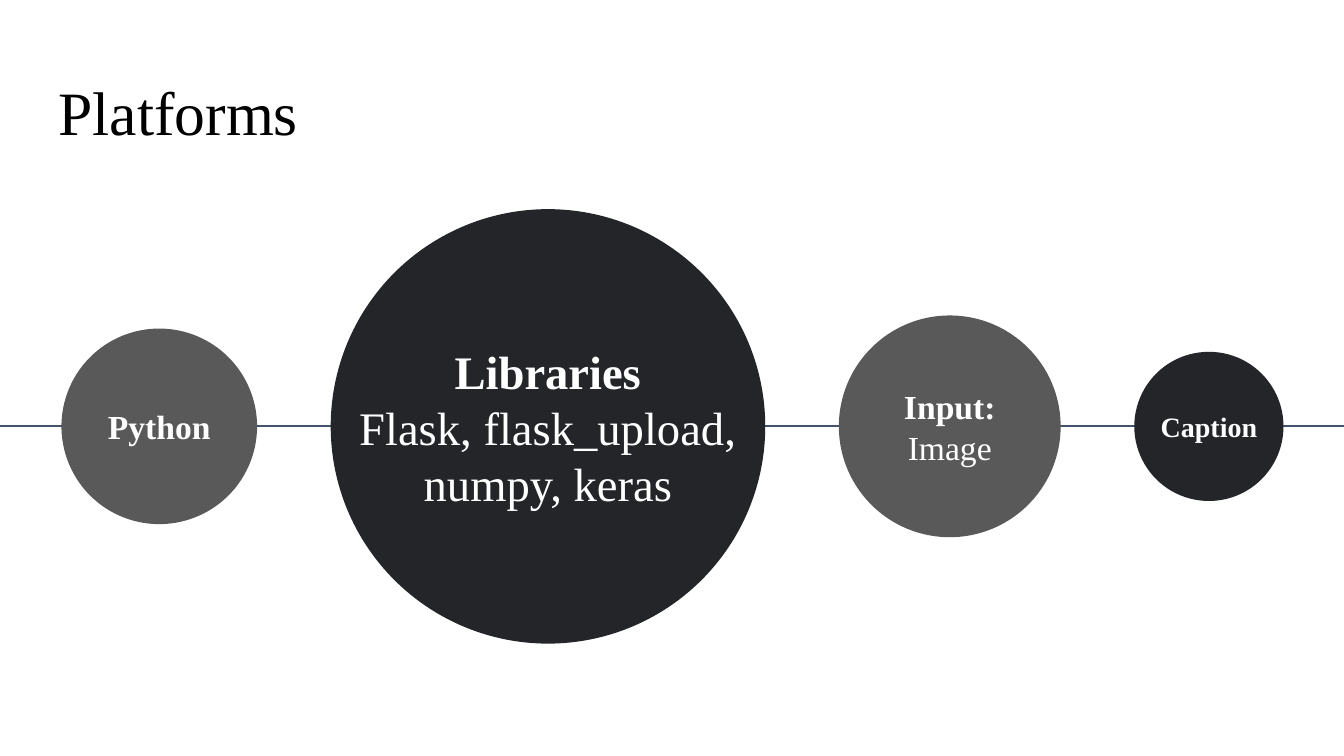
from dataclasses import dataclass

from lxml.etree import SubElement
from pptx import Presentation
from pptx.dml.color import RGBColor
from pptx.enum.shapes import MSO_CONNECTOR, MSO_SHAPE
from pptx.enum.text import MSO_ANCHOR, MSO_AUTO_SIZE, PP_ALIGN
from pptx.oxml.ns import qn
from pptx.util import Inches, Pt


@dataclass(frozen=True)
class Theme:
    font: str = "Times New Roman"
    black: RGBColor = RGBColor(0, 0, 0)
    white: RGBColor = RGBColor(255, 255, 255)
    axis: RGBColor = RGBColor(0x44, 0x54, 0x6A)
    gray: RGBColor = RGBColor(0x59, 0x59, 0x59)
    dark: RGBColor = RGBColor(0x23, 0x25, 0x29)
    title_size: float = 44
    large: float = 33.3
    medium: float = 24
    small: float = 20


THEME = Theme()
TITLE = "Platforms"
STAGES = [
    ("Python", None, 1.94, THEME.gray, THEME.medium),
    ("Libraries", "Flask, flask_upload, numpy, keras", 4.31, THEME.dark, THEME.large),
    ("Input:", "Image", 2.2, THEME.gray, THEME.medium),
    ("Caption", None, 1.48, THEME.dark, THEME.small),
]
WIDTH, HEIGHT = 13.33, 7.5
AXIS_Y = 4.23
FIRST_LEFT, GAP = 0.61, 0.73
LABEL_HEIGHT = 0.89
INSET = Inches(0.13)


def set_frame(frame, anchor):
    frame.word_wrap = True
    frame.auto_size = MSO_AUTO_SIZE.NONE
    frame.vertical_anchor = anchor
    frame.margin_left = frame.margin_right = INSET
    frame.margin_top = frame.margin_bottom = INSET


def add_text_shadow(span):
    effects = SubElement(span.font._element, qn("a:effectLst"))
    shadow = SubElement(effects, qn("a:outerShdw"), blurRad="38100",
                        dist="38100", dir="2700000", algn="tl")
    color = SubElement(shadow, qn("a:srgbClr"), val="000000")
    SubElement(color, qn("a:alpha"), val="43000")


def add_title(page):
    title = page.shapes.title
    title.left, title.top = Inches(0.45), Inches(0.54)
    title.width, title.height = Inches(12.42), Inches(1.07)
    set_frame(title.text_frame, MSO_ANCHOR.BOTTOM)
    para = title.text_frame.paragraphs[0]
    para.alignment = PP_ALIGN.LEFT
    para.line_spacing = 0.9
    span = para.add_run()
    span.text = TITLE
    span.font.size = Pt(THEME.title_size)
    span.font.color.rgb = THEME.black
    add_text_shadow(span)
    span.font.name = THEME.font


def add_axis(page):
    axis = page.shapes.add_connector(MSO_CONNECTOR.STRAIGHT, 0, Inches(AXIS_Y),
                                     Inches(WIDTH), Inches(AXIS_Y))
    axis.line.color.rgb = THEME.axis
    axis.line.width = Pt(1.5)
    SubElement(axis._element.spPr, qn("a:effectLst"))


def add_stage(page, left, heading, detail, diameter, fill, size):
    circle = page.shapes.add_shape(
        MSO_SHAPE.OVAL, Inches(left), Inches(AXIS_Y - diameter / 2),
        Inches(diameter), Inches(diameter))
    circle.shadow.inherit = False
    circle.fill.solid()
    circle.fill.fore_color.rgb = fill
    circle.line.fill.background()

    label = page.shapes.add_textbox(
        Inches(left), Inches(AXIS_Y - LABEL_HEIGHT / 2),
        Inches(diameter), Inches(LABEL_HEIGHT))
    frame = label.text_frame
    set_frame(frame, MSO_ANCHOR.MIDDLE)
    frame.text = "\n".join(filter(None, (heading, detail)))
    for index, para in enumerate(frame.paragraphs):
        para.alignment = PP_ALIGN.CENTER
        para.font.name = THEME.font
        para.font.size = Pt(size)
        para.font.color.rgb = THEME.white
        para.font.bold = index == 0


def main():
    deck = Presentation()
    deck.slide_width, deck.slide_height = Inches(WIDTH), Inches(HEIGHT)
    page = deck.slides.add_slide(deck.slide_layouts.get_by_name("Title Only"))
    add_title(page)
    add_axis(page)
    left = FIRST_LEFT
    for heading, detail, diameter, fill, size in STAGES:
        add_stage(page, left, heading, detail, diameter, fill, size)
        left += diameter + GAP
    deck.save("out.pptx")


if __name__ == "__main__":
    main()
